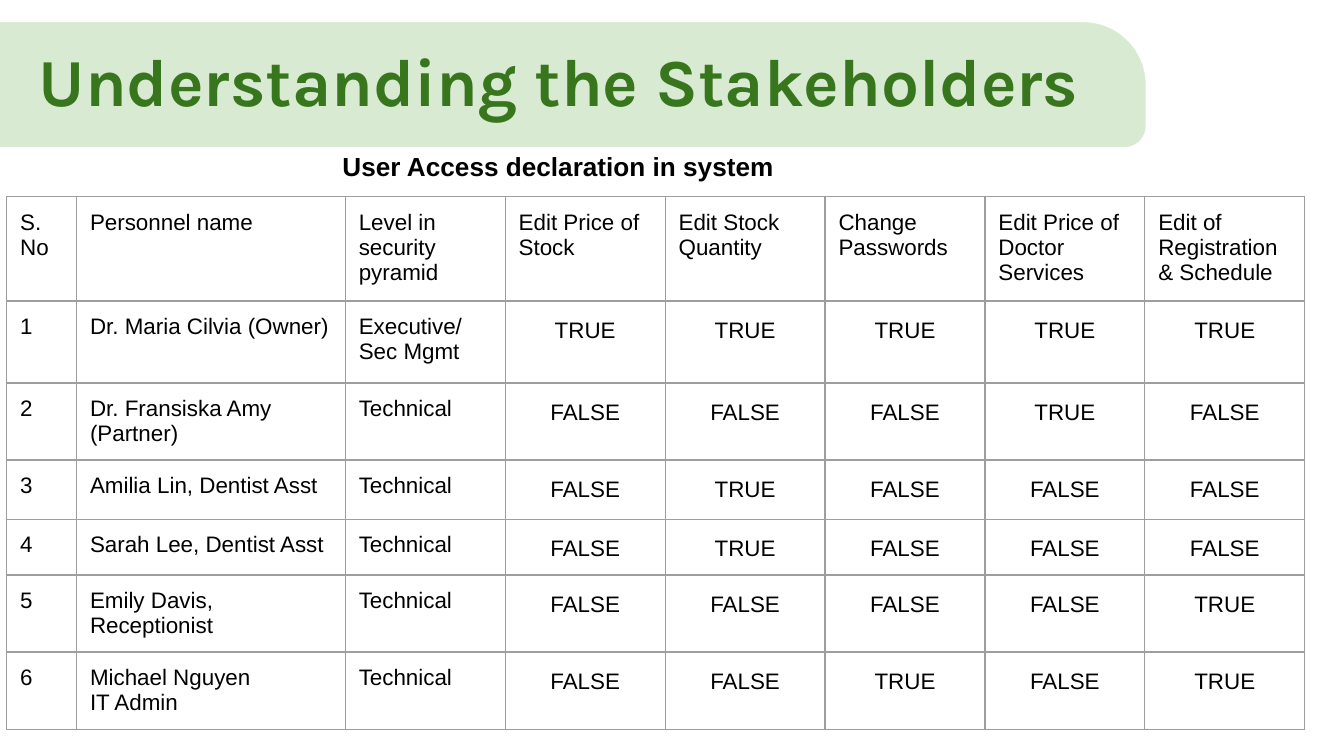
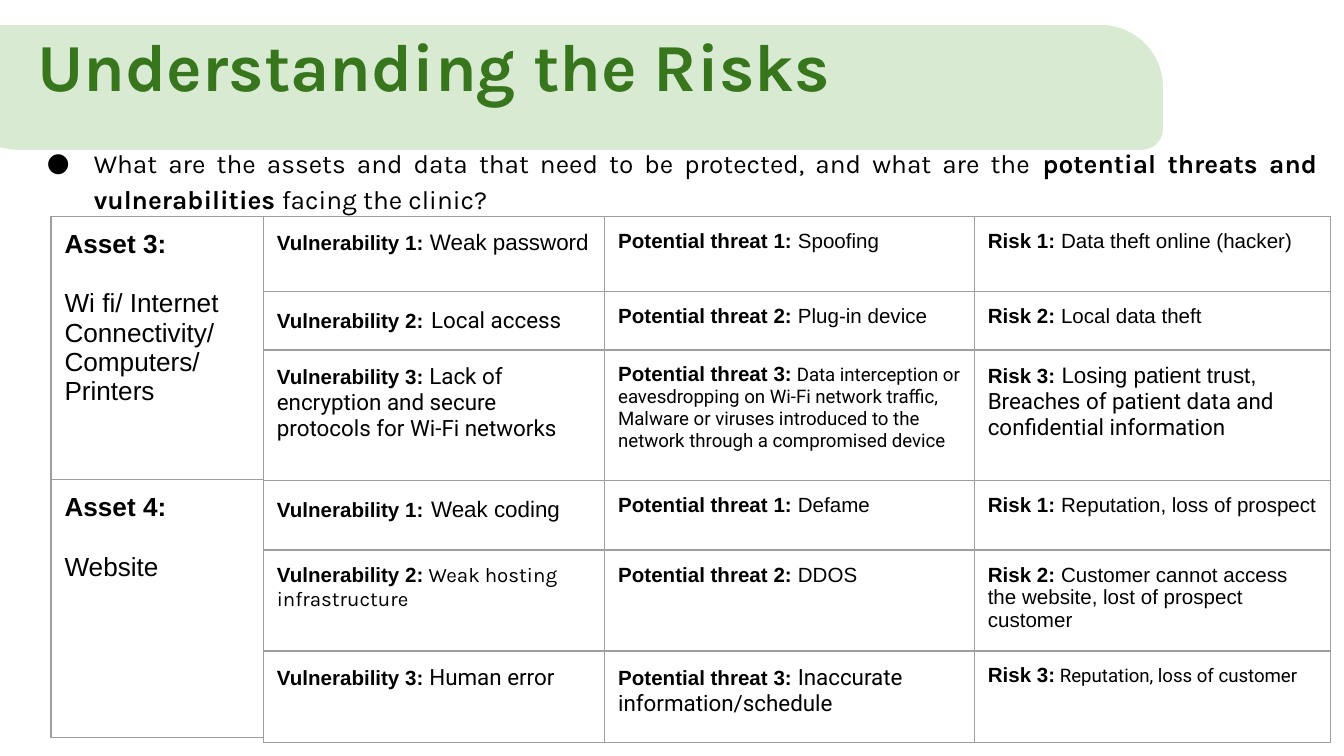
from lxml.etree import SubElement
from pptx import Presentation
from pptx.dml.color import RGBColor
from pptx.enum.shapes import MSO_SHAPE as Preset
from pptx.enum.text import MSO_ANCHOR as Anchor, MSO_AUTO_SIZE as AutoSize, PP_ALIGN as Align
from pptx.oxml import parse_xml
from pptx.oxml.ns import nsdecls, qn
from pptx.util import Inches, Pt

WHITE, BLACK, MINT, GREEN, GREY = "FFFFFF", "000000", "D9EAD3", "38761D", "9E9E9E"
ARIAL, KARLA, ROBOTO = "Arial", "Karla", "Roboto"
PAD = 0.1

ACCESS_COLUMNS = [0.52, 2] + [1.19] * 6
ACCESS_ROWS = [0.78, 0.61, 0.5, 0.44, 0.41, 0.52, 0.46]
ACCESS_HEADINGS = [
    "S. No", "Personnel name", "Level in security pyramid", "Edit Price of Stock",
    "Edit Stock Quantity", "Change Passwords", "Edit Price of Doctor Services",
    "Edit of Registration & Schedule",
]
PERSONNEL = [
    ("Dr. Maria Cilvia (Owner)", "Executive/Sec Mgmt", "TTTTT"),
    ("Dr. Fransiska Amy (Partner)", "Technical", "FFFTF"),
    ("Amilia Lin, Dentist Asst", "Technical", "FTFFF"),
    ("Sarah Lee, Dentist Asst", "Technical", "FTFFF"),
    ("Emily Davis, Receptionist", "Technical", "FFFFT"),
    ("Michael Nguyen\nIT Admin", "Technical", "FFTFT"),
]

ASSETS = [
    ("Asset 3:", ["Wi fi/ Internet Connectivity/ Computers/", "Printers"]),
    ("Asset 4:", ["Website"]),
]
RISK_COLUMNS = [2.54, 2.75, 2.65]
RISK_ROWS = [0.56, 0.43, 0.97, 0.52, 0.62, 0.68]
RISK_HEADINGS = ["Vulnerability", "Potential threat", "Risk"]
RISKS = [
    ([(" Weak password", 12, ARIAL)],
     [(" Spoofing", 11, ARIAL)],
     [(" Data theft online (hacker)", 11, ARIAL)]),
    ([(" ", 14, ARIAL), ("Local access", 12, ROBOTO)],
     [(" Plug-in device", 11, ARIAL)],
     [(" Local data theft", 11, ARIAL)]),
    ([(" Lack of encryption and secure protocols for Wi-Fi networks", 12, ROBOTO)],
     [(" Data interception or eavesdropping on Wi-Fi network traffic, Malware or viruses "
       "introduced to the network through a compromised device", 10, ROBOTO)],
     [(" Losing patient trust, ", 12, ARIAL),
      ("Breaches of patient data and confidential information", 12, ROBOTO)]),
    ([(" ", 14, ARIAL), ("Weak coding", 12, ARIAL)],
     [(" Defame", 11, ARIAL)],
     [(" Reputation, loss of prospect", 11, ARIAL)]),
    ([(" Weak hosting infrastructure", 11, KARLA)],
     [(" DDOS", 11, ARIAL)],
     [(" Customer cannot access the website, lost of prospect customer", 11, ARIAL)]),
    ([(" Human error", 12, ROBOTO)],
     [(" Inaccurate information/schedule", 12, ROBOTO)],
     [(" Reputation, loss of customer", 10, ROBOTO)]),
]


def rgb(value):
    """Turn a hex string into a colour."""
    return RGBColor.from_string(value)


def write(paragraph, text, size=12, font=ARIAL, color=BLACK, bold=False, align=None, spacing=None):
    """Append formatted text to a paragraph, breaking lines at newlines."""
    if align is not None:
        paragraph.alignment = align
    if spacing:
        paragraph.line_spacing = spacing
    for number, line in enumerate(text.split("\n")):
        if number:
            paragraph.add_line_break()
        run = paragraph.add_run()
        run.text = line
        run.font.size = Pt(size)
        run.font.name = font
        run.font.bold = bold
        run.font.color.rgb = rgb(color)


def pad(holder, left=PAD, bottom=PAD):
    """Set the inner margins of a cell or text frame."""
    holder.margin_left, holder.margin_bottom = Inches(left), Inches(bottom)
    holder.margin_right = holder.margin_top = Inches(PAD)


def text_area(slide, left, top, width, height, anchor=Anchor.TOP, grow=False):
    """Add a wrapping text box and return its first paragraph."""
    frame = slide.shapes.add_textbox(
        Inches(left), Inches(top), Inches(width), Inches(height)).text_frame
    frame.word_wrap = True
    frame.auto_size = AutoSize.SHAPE_TO_FIT_TEXT if grow else AutoSize.NONE
    frame.vertical_anchor = anchor
    pad(frame)
    return frame.paragraphs[0]


def title_band(slide, left, top):
    """Draw the rounded title band and return its text frame."""
    band = slide.shapes.add_shape(
        Preset.ROUND_2_DIAG_RECTANGLE, Inches(left), Inches(top), Inches(9), Inches(0.94))
    band.adjustments[0], band.adjustments[1] = 0.17, 0.5
    band.shadow.inherit = False
    band.fill.solid()
    band.fill.fore_color.rgb = rgb(MINT)
    band.line.color.rgb = rgb(WHITE)
    band.line.width = Pt(0.75)
    return band.text_frame


def write_title(paragraph, text):
    """Write a slide title in the shared style."""
    write(paragraph, text, size=36, font=KARLA, color=GREEN, bold=True,
          align=Align.LEFT, spacing=0.9)


def outline(cell):
    """Clear a cell's fill and give it a thin grey border on each side."""
    cell.fill.background()
    properties = cell._tc.get_or_add_tcPr()
    for position, side in enumerate(("lnL", "lnR", "lnT", "lnB")):
        properties.insert(position, parse_xml(
            f'<a:{side} {nsdecls("a")} w="9525"><a:solidFill><a:srgbClr val="{GREY}"/>'
            f'</a:solidFill></a:{side}>'))


def grid(slide, left, top, columns, rows):
    """Add a plain bordered table with the given column widths and row heights."""
    table = slide.shapes.add_table(
        len(rows), len(columns), Inches(left), Inches(top),
        Inches(sum(columns)), Inches(sum(rows))).table
    table.first_row = table.horz_banding = False
    for column, width in zip(table.columns, columns):
        column.width = Inches(width)
    for row, height in zip(table.rows, rows):
        row.height = Inches(height)
    for cell in table.iter_cells():
        pad(cell)
        outline(cell)
    return table


def access_table(slide, left, top):
    """Show which person may edit what."""
    table = grid(slide, left, top, ACCESS_COLUMNS, ACCESS_ROWS)
    people = [[str(number), name, level, *("TRUE" if flag == "T" else "FALSE" for flag in flags)]
              for number, (name, level, flags) in enumerate(PERSONNEL, 1)]
    for row, entries in enumerate([ACCESS_HEADINGS] + people):
        for column, entry in enumerate(entries):
            paragraph = table.cell(row, column).text_frame.paragraphs[0]
            if row and column > 2:
                write(paragraph, entry, align=Align.CENTER, spacing=1.15)
            else:
                write(paragraph, entry)


def asset_table(slide, left, top):
    """List the assets beside their risks."""
    table = grid(slide, left, top, [1.58], [1.96, 1.92])
    for row, (asset, details) in enumerate(ASSETS):
        frame = table.cell(row, 0).text_frame
        write(frame.paragraphs[0], asset, size=14, bold=True)
        for number, detail in enumerate(details):
            paragraph = frame.add_paragraph()
            if number == 0:
                paragraph.space_before = Pt(16)
            write(paragraph, detail, size=14)


def risk_table(slide, left, top):
    """List three vulnerabilities, threats and risks for each asset."""
    table = grid(slide, left, top, RISK_COLUMNS, RISK_ROWS)
    for row, entries in enumerate(RISKS):
        for column, (heading, parts) in enumerate(zip(RISK_HEADINGS, entries)):
            paragraph = table.cell(row, column).text_frame.paragraphs[0]
            write(paragraph, f"{heading} {row % 3 + 1}:", size=11, bold=True)
            for text, size, font in parts:
                write(paragraph, text, size=size, font=font)


def question(slide, left, top):
    """Write the bulleted question above the risk tables."""
    paragraph = text_area(slide, left, top, 9.8, 0.71, grow=True)
    style = dict(size=14, font=KARLA, align=Align.JUSTIFY, spacing=1.15)
    write(paragraph, "What are the assets and data that need to be protected, "
                     "and what are the ", **style)
    write(paragraph, "potential threats and vulnerabilities", bold=True, **style)
    write(paragraph, " facing the clinic?", **style)
    properties = paragraph._p.get_or_add_pPr()
    properties.set("marL", str(Inches(0.5)))
    properties.set("indent", str(Inches(-0.35)))
    SubElement(SubElement(properties, qn("a:buClr")), qn("a:srgbClr"), val=BLACK)
    SubElement(properties, qn("a:buFont"), typeface=KARLA)
    SubElement(properties, qn("a:buChar"), char="●")


def new_slide(deck):
    """Add a blank slide with a white background."""
    slide = deck.slides.add_slide(deck.slide_layouts[6])
    slide.background.fill.solid()
    slide.background.fill.fore_color.rgb = rgb(WHITE)
    return slide


def stakeholders_slide(deck):
    """Build the slide on user access."""
    slide = new_slide(deck)
    title_band(slide, -0.47, 0.16)
    write_title(text_area(slide, 0.19, 0, 8.43, 1.26, anchor=Anchor.MIDDLE),
                "Understanding the Stakeholders")
    access_table(slide, 0.05, 1.46)
    write(text_area(slide, 2.45, 1.02, 4.24, 0.44, grow=True),
          "User Access declaration in system", size=14, bold=True)


def risks_slide(deck):
    """Build the slide on assets and risks."""
    slide = new_slide(deck)
    title = title_band(slide, -0.34, 0.18)
    title.word_wrap = True
    title.vertical_anchor = Anchor.MIDDLE
    pad(title, left=0.48, bottom=0.36)
    write_title(title.paragraphs[0], "Understanding the Risks")
    question(slide, 0.1, 0.96)
    asset_table(slide, 0.38, 1.61)
    risk_table(slide, 1.96, 1.61)


def main():
    """Build and save the deck."""
    deck = Presentation()
    deck.slide_width = Inches(10)
    deck.slide_height = deck.slide_width * 9 // 16
    stakeholders_slide(deck)
    risks_slide(deck)
    deck.save("out.pptx")


if __name__ == "__main__":
    main()
